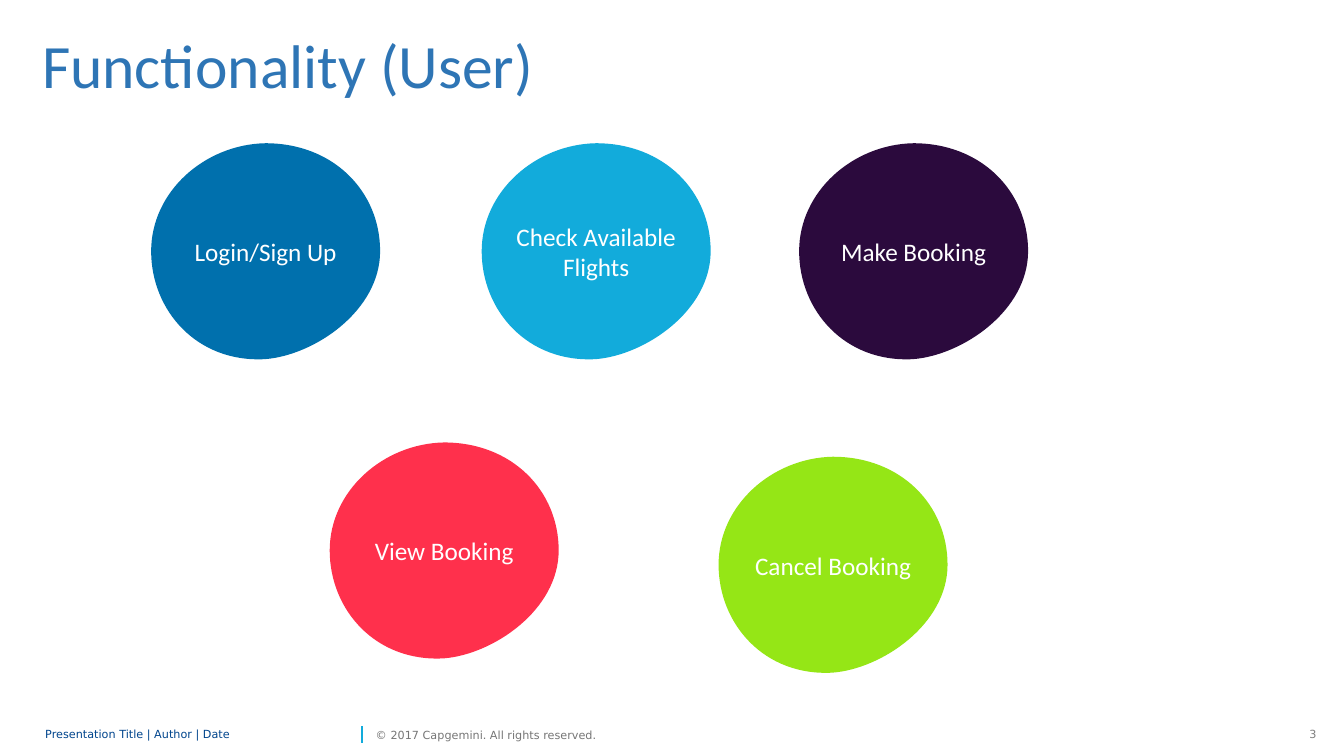
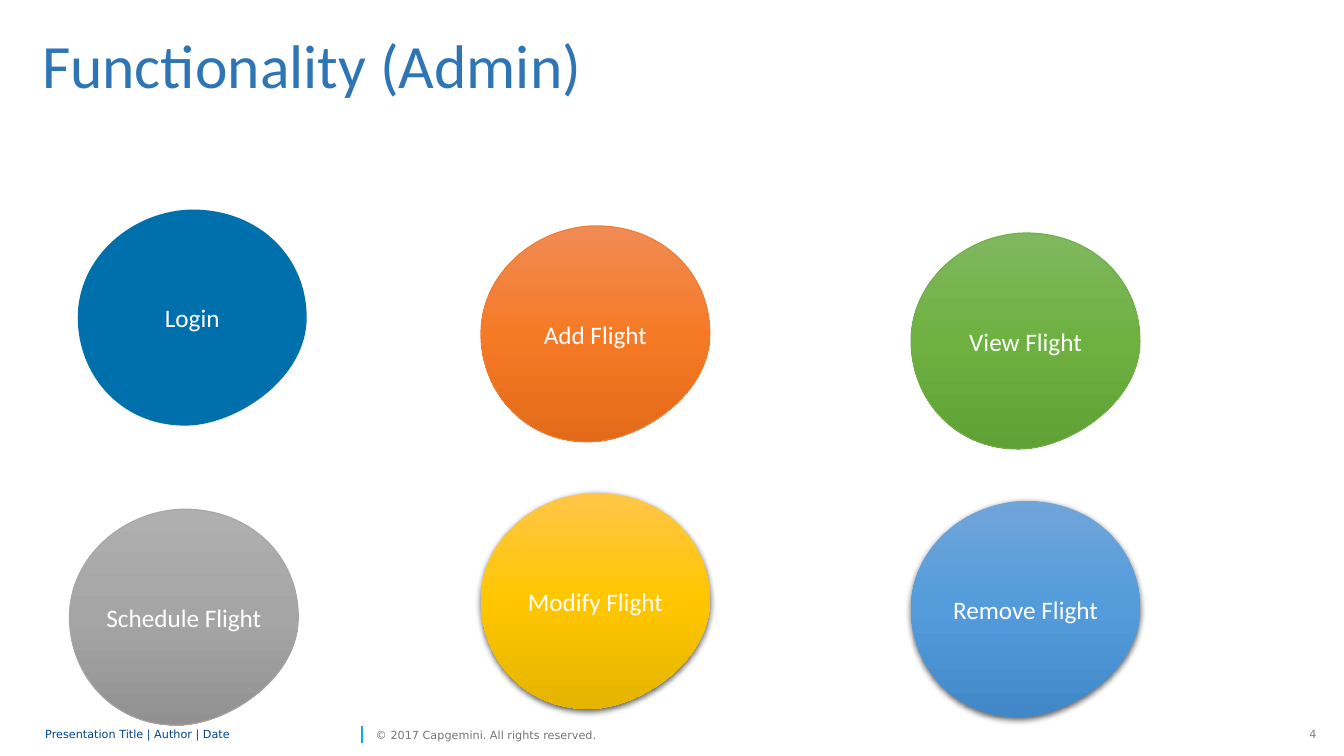
"""Build two slides that show flight booking functions as coloured blobs."""
from copy import deepcopy

from lxml import etree
from pptx import Presentation
from pptx import util as u
from pptx.dml.color import RGBColor
from pptx.enum import shapes, text
from pptx.oxml import parse_xml
from pptx.oxml.ns import nsdecls, qn

COLOURS = {
    "title": "2E75B5", "white": "FFFFFF", "footer": "00458D",
    "copyright": "767676", "number": "7F7F7F", "blue": "0070AD",
    "cyan": "12ABDB", "purple": "2B0A3D", "red": "FF304C", "lime": "95E616",
    "orange_line": "ED7D31", "green_line": "70AD47", "grey_line": "A5A5A5",
}
GRADIENTS = {
    "orange": ("F08B54", "F67A26", "E36A18"),
    "green": ("7FB75F", "6EB141", "5FA134"),
    "grey": ("AFAFAF", "A5A5A5", "919191"),
    "yellow": ("FFC647", "FFC600", "E3B400"),
    "sky": ("70A5DA", "539BDB", "4288C8"),
}
SHADOWED = ("yellow", "sky")

SLIDES = [
    ("Functionality (User)", "3", [
        ("Login/Sign Up", 3.81, 3.61, "blue"),
        ("Check Available Flights", 12.14, 3.61, "cyan"),
        ("Make Booking", 20.14, 3.61, "purple"),
        ("View Booking", 8.31, 11.15, "red"),
        ("Cancel Booking", 18.11, 11.51, "lime"),
    ]),
    ("Functionality (Admin)", "4", [
        ("Add Flight", 12.12, 5.69, "orange"),
        ("View Flight", 22.96, 5.87, "green"),
        ("Schedule Flight", 1.75, 12.83, "grey"),
        ("Login", 1.96, 5.28, "blue"),
        ("Modify Flight", 12.12, 12.42, "yellow"),
        ("Remove Flight", 22.96, 12.62, "sky"),
    ]),
]

BLOB_HEIGHT = 5.46
BLOB_START = (0, 2.72)
BLOB_CURVES = [
    (0, 1.22), (1.35, 0.03), (2.88, 0),
    (4.6, 0), (5.77, 1.22), (5.77, 2.72),
    (5.77, 4.22), (4.12, 5.34), (2.88, 5.44),
    (1.16, 5.54), (0, 4.22), (0, 2.72),
]

PADDED = (0.25, 0.13)
FLUSH = (0, 0)
TITLE = {"box": (0.81, 0.53, 19.41, 2.39), "size": 44, "font": "Calibri",
         "colour": "title", "spacing": 0.9}
SMALL = {"size": 8, "font": "DejaVu Sans"}
NUMBER = SMALL | {"box": (32.74, 18.21, 0.69, 0.61), "colour": "number",
                  "align": text.PP_ALIGN.RIGHT, "anchor": text.MSO_ANCHOR.TOP}
FOOTER = SMALL | {"box": (1.14, 18.21, 7.85, 0.61), "colour": "footer",
                  "spacing": 0.85, "insets": FLUSH}
COPYRIGHT = SMALL | {"box": (9.47, 18.21, 6.17, 0.61), "colour": "copyright",
                     "insets": FLUSH}
BLOB_LABEL = {"size": 18, "font": "Calibri", "colour": "white",
              "align": text.PP_ALIGN.CENTER}
SHADOW = (
    f'<a:outerShdw {nsdecls("a")} blurRad="57150" dist="19050" dir="5400000" '
    'algn="ctr" rotWithShape="0"><a:srgbClr val="000000">'
    '<a:alpha val="63000"/></a:srgbClr></a:outerShdw>'
)


def rgb(name):
    return RGBColor.from_string(COLOURS[name])


def set_attributes(target, values):
    for name, value in values.items():
        setattr(target, name, value)


def write(shape, words, style):
    frame = shape.text_frame
    across, down = map(u.Cm, style.get("insets", PADDED))
    set_attributes(frame, {
        "word_wrap": True,
        "vertical_anchor": style.get("anchor", text.MSO_ANCHOR.MIDDLE),
        "margin_left": across, "margin_right": across,
        "margin_top": down, "margin_bottom": down,
    })
    paragraph = frame.paragraphs[0]
    set_attributes(paragraph, {
        "text": words,
        "alignment": style.get("align", text.PP_ALIGN.LEFT),
        "line_spacing": style.get("spacing", 1.0),
    })
    font = paragraph.runs[0].font
    set_attributes(font, {"size": u.Pt(style["size"]), "name": style["font"]})
    font.color.rgb = rgb(style["colour"])


def add_text(slide, words, style):
    write(slide.shapes.add_textbox(*map(u.Cm, style["box"])), words, style)


def add_divider(slide):
    ends = map(u.Cm, (9.12, 18.72, 9.12, 18.29))
    divider = slide.shapes.add_connector(shapes.MSO_CONNECTOR.STRAIGHT, *ends)
    divider.line.color.rgb = rgb("cyan")
    divider.line.width = u.Pt(1)
    etree.SubElement(divider._element.spPr, qn("a:effectLst"))


def curve_outline(shape):
    outline = next(shape._element.iter(qn("a:path")))
    segments = outline.findall(qn("a:lnTo"))
    for first in range(0, len(segments), 3):
        curve = etree.Element(qn("a:cubicBezTo"))
        segments[first].addprevious(curve)
        for segment in segments[first:first + 3]:
            curve.append(segment[0])
            outline.remove(segment)
    shape.height = u.Cm(BLOB_HEIGHT)
    outline.set("h", str(u.Cm(BLOB_HEIGHT)))


def paint(shape, colour):
    properties = shape._element.spPr
    shape.shadow.inherit = False
    shape.line.fill.background()
    if colour not in GRADIENTS:
        shape.fill.solid()
        shape.fill.fore_color.rgb = rgb(colour)
        return
    shape.fill.gradient()
    shape.fill.gradient_angle = 270
    stop_list = next(properties.iter(qn("a:gsLst")))
    stop_list.append(deepcopy(stop_list[0]))
    for index, (stop, value) in enumerate(
            zip(shape.fill.gradient_stops, GRADIENTS[colour])):
        stop.color.rgb = RGBColor.from_string(value)
        stop.position = index / 2
    if colour in SHADOWED:
        properties.find(qn("a:effectLst")).append(parse_xml(SHADOW))
    else:
        shape.line.color.rgb = rgb(colour + "_line")
        shape.line.width = u.Pt(0.75)


def add_blob(slide, words, left, top, colour):
    start, *points = [(u.Cm(left + x), u.Cm(top + y))
                      for x, y in [BLOB_START, *BLOB_CURVES]]
    builder = slide.shapes.build_freeform(*start)
    builder.add_line_segments(points, close=True)
    blob = builder.convert_to_shape()
    curve_outline(blob)
    paint(blob, colour)
    write(blob, words, BLOB_LABEL)


def add_slide(presentation, title, number, blobs):
    slide = presentation.slides.add_slide(presentation.slide_layouts[6])
    add_text(slide, number, NUMBER)
    add_divider(slide)
    add_text(slide, "Presentation Title | Author | Date", FOOTER)
    add_text(slide, "© 2017 Capgemini. All rights reserved.", COPYRIGHT)
    add_text(slide, title, TITLE)
    for blob in blobs:
        add_blob(slide, *blob)


def main():
    presentation = Presentation()
    presentation.slide_width = u.Cm(33.87)
    presentation.slide_height = u.Cm(19.05)
    for content in SLIDES:
        add_slide(presentation, *content)
    presentation.save("out.pptx")


if __name__ == "__main__":
    main()
